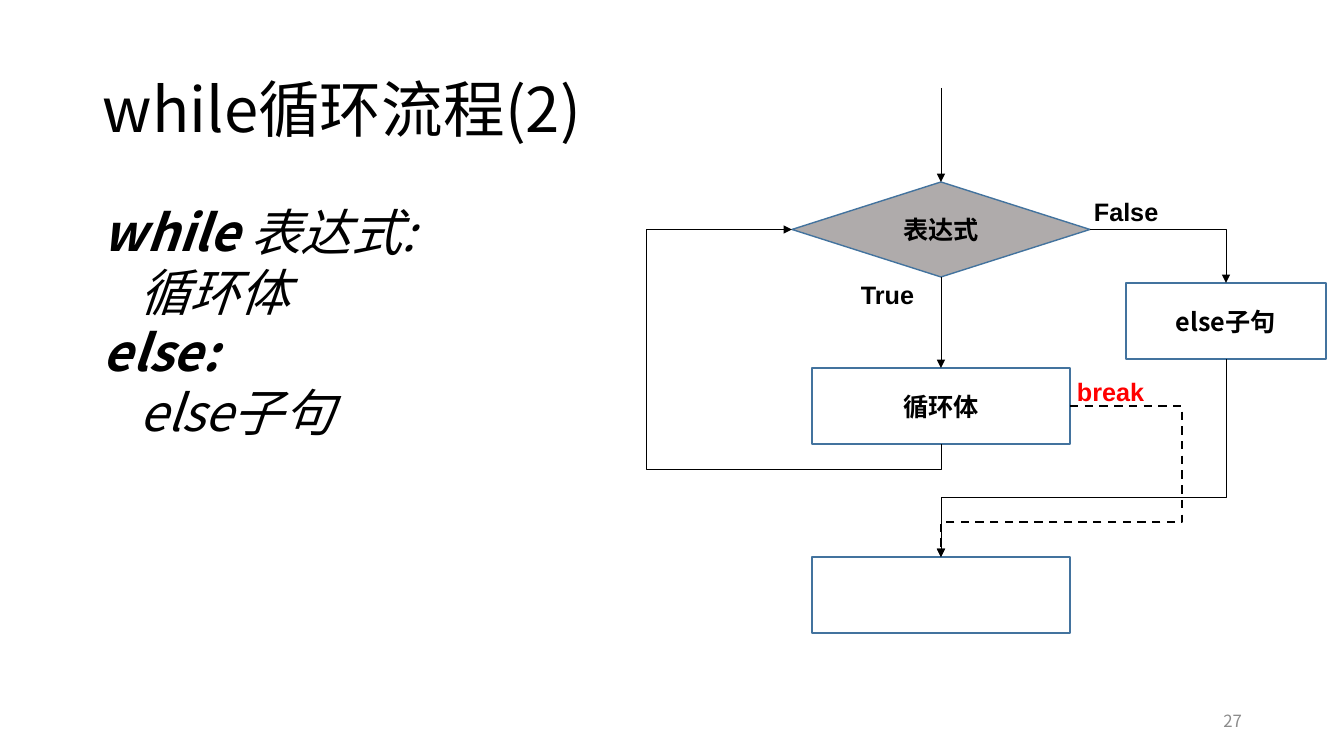
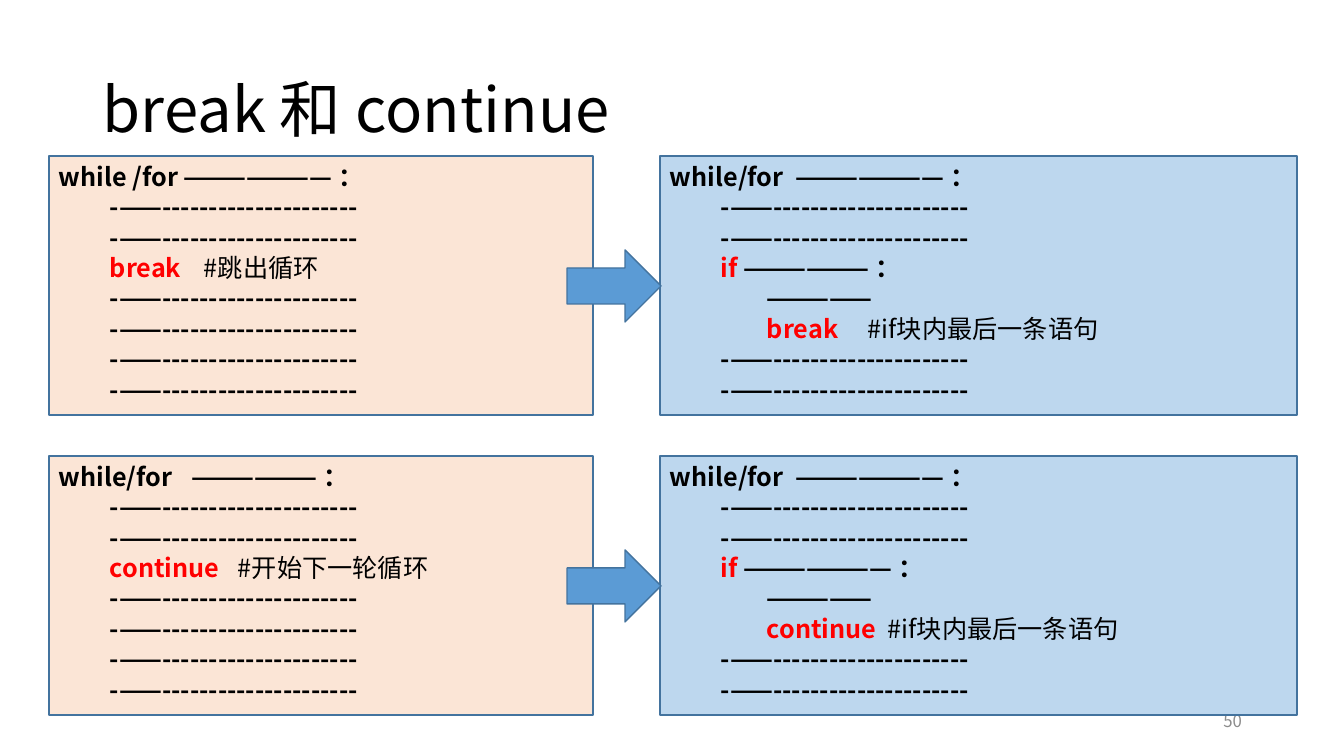
from lxml import etree
from pptx import Presentation, util as u
from pptx.dml.color import RGBColor
from pptx.enum import dml, shapes, text
from pptx.oxml import ns

PIXEL = u.Inches(1) / 100.8
SANS, LABEL_FONT = "Noto Sans CJK SC", "Arial"
BLACK = RGBColor(0x00, 0x00, 0x00)
WHITE = RGBColor(0xFF, 0xFF, 0xFF)
RED = RGBColor(0xFF, 0x00, 0x00)
GREY = RGBColor(0x8C, 0x8C, 0x8C)
STONE = RGBColor(0xAF, 0xAB, 0xAB)
PEACH = RGBColor(0xFB, 0xE5, 0xD6)
SKY = RGBColor(0xBD, 0xD7, 0xEE)
BLUE = RGBColor(0x5B, 0x9B, 0xD5)
EDGE = RGBColor(0x43, 0x73, 0x9E)

TOP, LEFT, BOTTOM, RIGHT = range(4)  # connection sites
INDENTS = (51, 97)  # tab stops of the code levels
CODE_LEADING = u.Pt(21.7)
RULE = [("\t-——---------------------", BLACK, True)]


def px(length):
    """Turn pixels into EMU."""
    return u.Emu(round(length * PIXEL))


def add_child(parent, tag, **attributes):
    """Append a DrawingML element."""
    return etree.SubElement(parent, ns.qn(tag), attributes)


def add_span(para, words, size, color=BLACK, bold=False, italic=False, font=SANS):
    """Add one formatted run."""
    span = para.add_run()
    span.text = words
    span.font.size = u.Pt(size)
    span.font.bold = bold
    span.font.italic = italic
    span.font.color.rgb = color
    span.font.name = font
    add_child(span.font._element, "a:ea", typeface=font)


def add_text_box(page, left, top, width, height, anchor=text.MSO_ANCHOR.TOP, wrap=True):
    """Add an empty text box and return its text frame."""
    frame = page.shapes.add_textbox(px(left), px(top), px(width), px(height)).text_frame
    frame.word_wrap = wrap
    frame.vertical_anchor = anchor
    return frame


def add_page(deck, title, number):
    """Add a page with its title and page number."""
    page = deck.slides.add_slide(deck.slide_layouts[6])
    middle = text.MSO_ANCHOR.MIDDLE
    para = add_text_box(page, 93, 40, 1159, 146, middle).paragraphs[0]
    para.line_spacing = 0.9
    add_span(para, title, 44)
    para = add_text_box(page, 950, 701, 302, 40, middle).paragraphs[0]
    para.alignment = text.PP_ALIGN.RIGHT
    add_span(para, str(number), 12, GREY)
    return page


def add_box(page, kind, left, top, width, height, fill, words=""):
    """Add an outlined shape, with a centred bold caption if given."""
    box = page.shapes.add_shape(kind, px(left), px(top), px(width), px(height))
    box.shadow.inherit = False
    box.fill.solid()
    box.fill.fore_color.rgb = fill
    box.line.color.rgb = EDGE
    box.line.width = u.Pt(1)
    if words:
        box.text_frame.vertical_anchor = text.MSO_ANCHOR.MIDDLE
        para = box.text_frame.paragraphs[0]
        para.alignment = text.PP_ALIGN.CENTER
        add_span(para, words, 18, bold=True)
    return box


def style_arrow(arrow, dashed=False):
    """Give a connector its black line and arrowhead."""
    arrow.line.color.rgb = BLACK
    arrow.line.width = u.Pt(1.5 if dashed else 0.5)
    if dashed:
        arrow.line.dash_style = dml.MSO_LINE.DASH
    add_child(arrow.line._get_or_add_ln(), "a:tailEnd", type="triangle")
    add_child(arrow._element.spPr, "a:effectLst")


def add_down_arrow(page, x, top, bottom):
    """Add a straight arrow pointing down."""
    style_arrow(page.shapes.add_connector(
        shapes.MSO_CONNECTOR.STRAIGHT, px(x), px(top), px(x), px(bottom)))


def turn_elbow(arrow):
    """Rotate an elbow by a quarter so that it leaves its start vertically."""
    dx, dy = arrow.end_x - arrow.begin_x, arrow.end_y - arrow.begin_y
    center_x, center_y = arrow.begin_x + dx // 2, arrow.begin_y + dy // 2
    arrow.width, arrow.height = abs(dy), abs(dx)
    arrow.left = center_x - arrow.width // 2
    arrow.top = center_y - arrow.height // 2
    frame = arrow._element.spPr.find(ns.qn("a:xfrm"))
    frame.set("rot", "5400000")
    frame.set("flipH", str(int(dy < 0)))
    frame.set("flipV", str(int(dx > 0)))


def add_elbow(page, start, end, preset, bends=(), turned=False, dashed=False):
    """Join two (box, site) ends; bends are shares of the elbow's size."""
    arrow = page.shapes.add_connector(shapes.MSO_CONNECTOR.ELBOW, 0, 0, 0, 0)
    arrow.begin_connect(*start)
    arrow.end_connect(*end)
    if turned:
        turn_elbow(arrow)
    geometry = arrow._element.spPr.find(ns.qn("a:prstGeom"))
    geometry.set("prst", preset)
    for old in list(geometry):
        geometry.remove(old)
    guides = add_child(geometry, "a:avLst")
    for index, bend in enumerate(bends, 1):
        name = f"adj{index}" if len(bends) > 1 else "adj1"
        add_child(guides, "a:gd", name=name, fmla=f"val {round(bend * 100000)}")
    style_arrow(arrow, dashed)


def add_label(page, left, top, width, words, color=BLACK):
    """Add a branch label beside an arrow."""
    frame = add_text_box(page, left, top, width, 40, wrap=False)
    add_span(frame.paragraphs[0], words, 18, color, bold=True, font=LABEL_FONT)


def add_syntax(page, lines):
    """Add the large italic syntax outline; a line is a list of (words, bold)."""
    frame = add_text_box(page, 93, 202, 1159, 480)
    for index, line in enumerate(lines):
        para = frame.add_paragraph() if index else frame.paragraphs[0]
        para.line_spacing = u.Pt(39)
        para.space_before = u.Pt(3.9)
        layout = para._p.get_or_add_pPr()
        layout.set("marL", str(px(25)))
        layout.set("indent", str(-px(25)))
        for words, bold in line:
            add_span(para, words, 36, bold=bold, italic=True)


def add_code_panel(page, left, top, width, fill, lines):
    """Add a code panel; a line is (spans, extra tab stop or None)."""
    box = add_box(page, shapes.MSO_SHAPE.RECTANGLE, left, top, width, 259, fill)
    frame = box.text_frame
    frame.vertical_anchor = text.MSO_ANCHOR.TOP
    for index, (spans, gap) in enumerate(lines):
        para = frame.add_paragraph() if index else frame.paragraphs[0]
        para.alignment = text.PP_ALIGN.LEFT
        para.line_spacing = CODE_LEADING
        if index or gap:
            stops = (INDENTS if index else ()) + ((gap,) if gap else ())
            tabs = add_child(para._p.get_or_add_pPr(), "a:tabLst")
            for stop in stops:
                add_child(tabs, "a:tab", pos=str(px(stop)), algn="l")
        for words, color, bold in spans:
            add_span(para, words, 18, color, bold)


def header(words, gap=None):
    """Return the opening line of a loop."""
    return [(words, BLACK, True)], gap


def jump(indent, keyword, remark, gap):
    """Return a line with a red keyword and a plain remark."""
    return [(indent + keyword, RED, True), ("\t" + remark, BLACK, False)], gap


def plain_loop(opening, keyword, remark, gap):
    """Return a loop whose body holds a bare jump."""
    rule = (RULE, None)
    return [opening, rule, rule, jump("\t", keyword, remark, gap)] + [rule] * 4


def guarded_loop(condition, keyword, gap):
    """Return a loop whose jump sits inside an if block."""
    rule = (RULE, None)
    test = [("\tif", RED, True), (f" {condition} ：", BLACK, True)]
    return [header("while/for\t——————— ：", 126), rule, rule, (test, None),
            ([("\t\t—————", BLACK, True)], None),
            jump("\t\t", keyword, "#if块内最后一条语句", gap), rule, rule]


def build_flow_page(deck):
    """Build the flow chart of while with else."""
    page = add_page(deck, "while循环流程(2)", 27)
    add_syntax(page, [[("while ", True), ("表达式:", False)], [("\t 循环体", False)],
                      [("else:", True)], [("\t else子句", False)]])
    rectangle = shapes.MSO_SHAPE.RECTANGLE
    test = add_box(page, shapes.MSO_SHAPE.DIAMOND, 792, 182, 298, 95, STONE, "表达式")
    body = add_box(page, rectangle, 812, 368, 258, 76, WHITE, "循环体")
    after = add_box(page, rectangle, 812, 557, 258, 76, WHITE)
    otherwise = add_box(page, rectangle, 1126, 283, 200, 76, WHITE, "else子句")
    add_down_arrow(page, 941, 88, 182)
    add_down_arrow(page, 941, 277, 368)
    add_elbow(page, (body, BOTTOM), (test, LEFT), "bentConnector4", (-0.12, 1.98), turned=True)
    add_elbow(page, (test, RIGHT), (otherwise, TOP), "bentConnector2")
    add_elbow(page, (body, RIGHT), (after, TOP), "bentConnector4", (-0.87, 0.77), dashed=True)
    add_elbow(page, (otherwise, BOTTOM), (after, TOP), "bentConnector3", (0.7,), turned=True)
    add_label(page, 851, 274, 74, "True")
    add_label(page, 1084, 191, 86, "False")
    add_label(page, 1067, 371, 89, "break", RED)


def build_jump_page(deck):
    """Build the comparison of break and continue."""
    page = add_page(deck, "break 和 continue", 50)
    rows = [
        (plain_loop(header("while /for ——————— ："), "break", "#跳出循环", 145),
         guarded_loop("——————", "break", 198)),
        (plain_loop(header("while/for\t—————— ：", 133), "continue", "#开始下一轮循环", 179),
         guarded_loop("———————", "continue", 218)),
    ]
    for index, (plain, guarded) in enumerate(rows):
        top = 156 + 300 * index
        add_code_panel(page, 49, top, 544, PEACH, plain)
        add_code_panel(page, 660, top, 637, SKY, guarded)
        add_box(page, shapes.MSO_SHAPE.RIGHT_ARROW, 567, top + 94, 94, 72, BLUE)


def main():
    """Build and save the deck."""
    deck = Presentation()
    deck.slide_width, deck.slide_height = px(1344), px(756)
    build_flow_page(deck)
    build_jump_page(deck)
    deck.save("out.pptx")


main()
